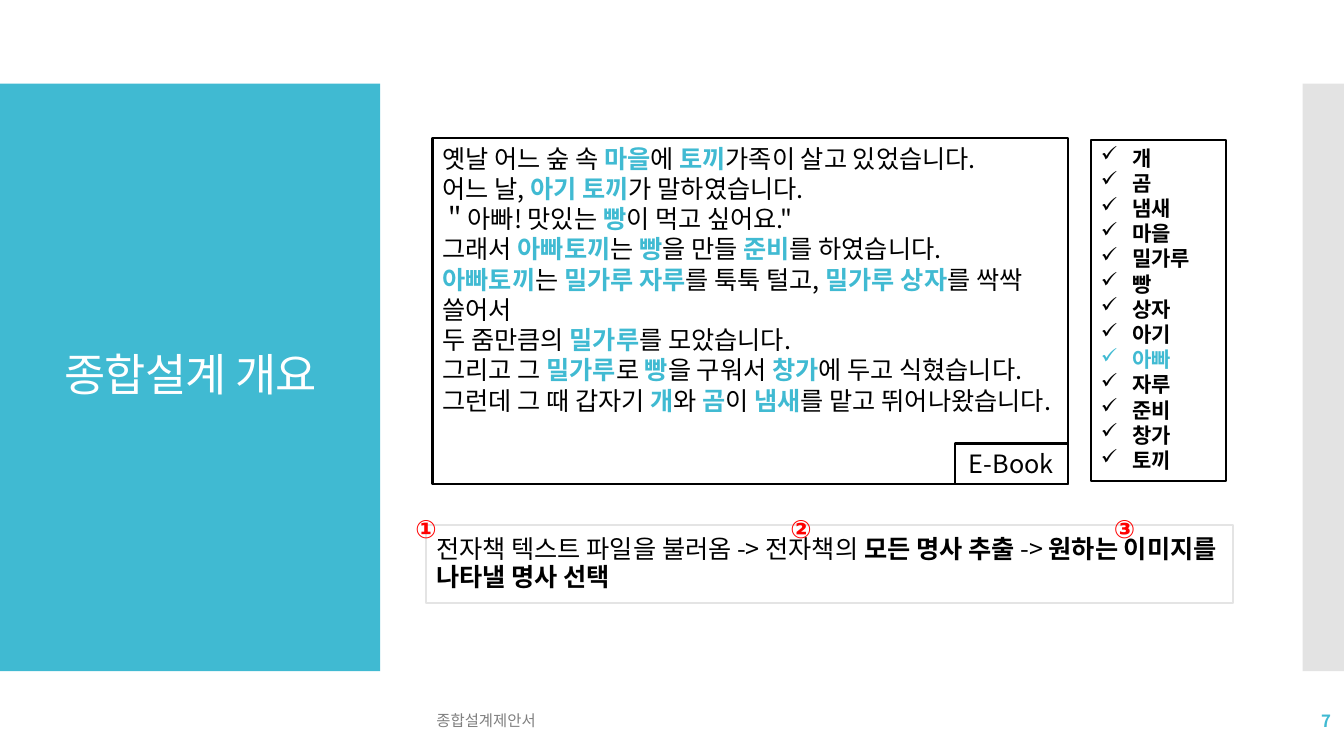
from pptx import Presentation
from pptx.dml.color import RGBColor
from pptx.enum.shapes import MSO_SHAPE as SHAPE
from pptx.enum.text import MSO_ANCHOR as ANCHOR, PP_ALIGN as ALIGN
from pptx.oxml.ns import qn
from pptx.util import Inches, Pt
from lxml import etree

COLORS = {"teal": "40BAD2", "side": "C8C8C8", "border": "E4E4E4", "black": "000000",
          "white": "FFFFFF", "footer": "808080", "red": "FF0000"}
KOREAN, LATIN = "Noto Sans CJK KR", "Cabin"

# Words between asterisks are emphasised
STORY = [
    "옛날 어느 숲 속 *마을*에 *토끼*가족이 살고 있었습니다.",
    "어느 날, *아기 토끼*가 말하였습니다.",
    "＂아빠! 맛있는 *빵*이 먹고 싶어요.\"",
    "그래서 *아빠토끼*는 *빵*을 만들 *준비*를 하였습니다.",
    "*아빠토끼*는 *밀가루 자루*를 툭툭 털고, *밀가루 상자*를 싹싹 쓸어서",
    "두 줌만큼의 *밀가루*를 모았습니다.",
    "그리고 그 *밀가루*로 *빵*을 구워서 *창가*에 두고 식혔습니다.",
    "그런데 그 때 갑자기 *개*와 *곰*이 *냄새*를 맡고 뛰어나왔습니다.",
]
NOUNS = ["개", "곰", "냄새", "마을", "밀가루", "빵", "상자", "아기", "아빠", "자루",
         "준비", "창가", "토끼"]
CHOSEN = "아빠"
STEPS = "전자책 텍스트 파일을 불러옴 -> 전자책의 *모든 명사 추출 *-> *원하는 이미지를 나타낼 명사 선택*"
MARKERS = [("①", 4.02, 0.42), ("②", 7.74, 0.49), ("③", 10.95, 0.82)]


def rgb(name):
    return RGBColor.from_string(COLORS[name])


def add_box(slide, x, y, w, h, fill=None, line=None, alpha=None):
    sp = slide.shapes.add_shape(SHAPE.RECTANGLE, Inches(x), Inches(y), Inches(w), Inches(h))
    sp.shadow.inherit = False
    if fill:
        sp.fill.solid()
        sp.fill.fore_color.rgb = rgb(fill)
        if alpha:
            color = sp.fill._xPr.find(qn("a:solidFill"))[0]
            etree.SubElement(color, qn("a:alpha"), val=str(alpha * 1000))
    else:
        sp.fill.background()
    if line:
        sp.line.color.rgb = rgb(line)
        sp.line.width = Pt(1.5)
    else:
        sp.line.fill.background()
    return sp


def add_label(slide, x, y, w, h):
    return slide.shapes.add_textbox(Inches(x), Inches(y), Inches(w), Inches(h))


def add_run(p, text, size, color, bold=False, font=KOREAN):
    r = p.add_run()
    r.text = text
    r.font.size = Pt(size)
    r.font.bold = bold
    r.font.name = font
    r.font.color.rgb = rgb(color)
    etree.SubElement(r._r.get_or_add_rPr(), qn("a:ea"), typeface=KOREAN)
    return r


def add_bullet(p):
    pPr = p._p.get_or_add_pPr()
    pPr.set("marL", str(Inches(0.31)))
    pPr.set("indent", str(-Inches(0.31)))
    etree.SubElement(pPr, qn("a:buChar"), char="✓")


def write(sp, lines, size, color="black", accent=None, bold=False, font=KOREAN,
          align=ALIGN.LEFT, anchor=ANCHOR.TOP, spacing=None, bullets=False):
    """Write one paragraph per line, with *marked* words bold in the accent colour."""
    tf = sp.text_frame
    tf.word_wrap = True
    tf.vertical_anchor = anchor
    for i, line in enumerate(lines):
        p = tf.add_paragraph() if i else tf.paragraphs[0]
        p.alignment = align
        if spacing:
            p.line_spacing = Pt(spacing)
        if bullets:
            add_bullet(p)
        for j, part in enumerate(line.split("*")):
            marked = j % 2 == 1
            if part:
                add_run(p, part, size, accent if marked and accent else color,
                        bold or marked, font)
    return tf


def main():
    prs = Presentation()
    prs.slide_width, prs.slide_height = Inches(13.33), Inches(7.5)
    s = prs.slides.add_slide(prs.slide_layouts[6])

    # Side panels and title
    add_box(s, 0, 0.83, 3.77, 5.83, fill="teal")
    add_box(s, 12.92, 0.83, 0.41, 5.83, fill="side", alpha=50)
    tf = write(add_label(s, 0.28, 1.23, 3.22, 5.03), ["종합설계 개요"], 32, "white",
               align=ALIGN.CENTER, anchor=ANCHOR.MIDDLE)
    tf.paragraphs[0].line_spacing = 0.9
    tf.paragraphs[0].runs[0].font._element.set("spc", "-60")

    # Process description
    write(add_box(s, 4.23, 5.21, 8, 0.77, line="border"), [STEPS], 18,
          anchor=ANCHOR.MIDDLE, spacing=19.4)

    # Footer and page number
    write(add_label(s, 4.23, 6.95, 6.46, 0.4), ["종합설계제안서"], 11, "footer",
          font=LATIN, anchor=ANCHOR.MIDDLE)
    write(add_label(s, 11.63, 6.95, 1.67, 0.4), ["7"], 12, "teal", bold=True,
          align=ALIGN.RIGHT, anchor=ANCHOR.MIDDLE)

    # E-book story, extracted nouns and tag
    write(add_box(s, 4.29, 1.37, 6.3, 3.43, line="black"), STORY, 18, accent="teal",
          spacing=21.6)
    nouns = [f"*{n}*" if n == CHOSEN else n for n in NOUNS]
    write(add_box(s, 10.82, 1.39, 1.34, 3.38, line="black"), nouns, 15, accent="teal",
          bold=True, spacing=18, bullets=True)
    write(add_box(s, 9.47, 4.4, 1.12, 0.4, line="black"), ["E-Book"], 18,
          align=ALIGN.CENTER, spacing=21.6)

    # Step markers
    for number, x, w in MARKERS:
        write(add_label(s, x, 5.04, w, 0.4), [number], 18, "red", bold=True, font=LATIN)

    prs.save("out.pptx")


if __name__ == "__main__":
    main()
